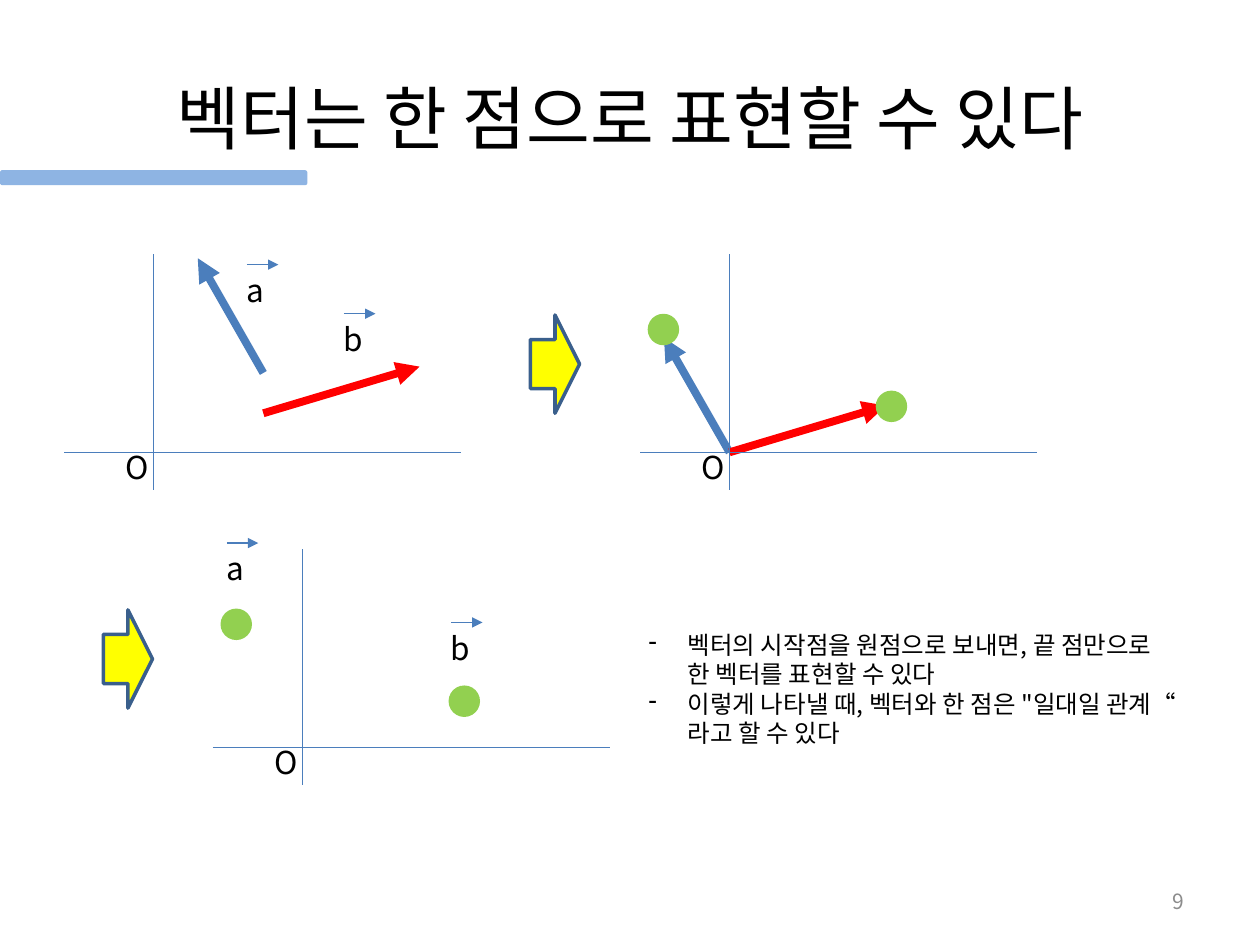
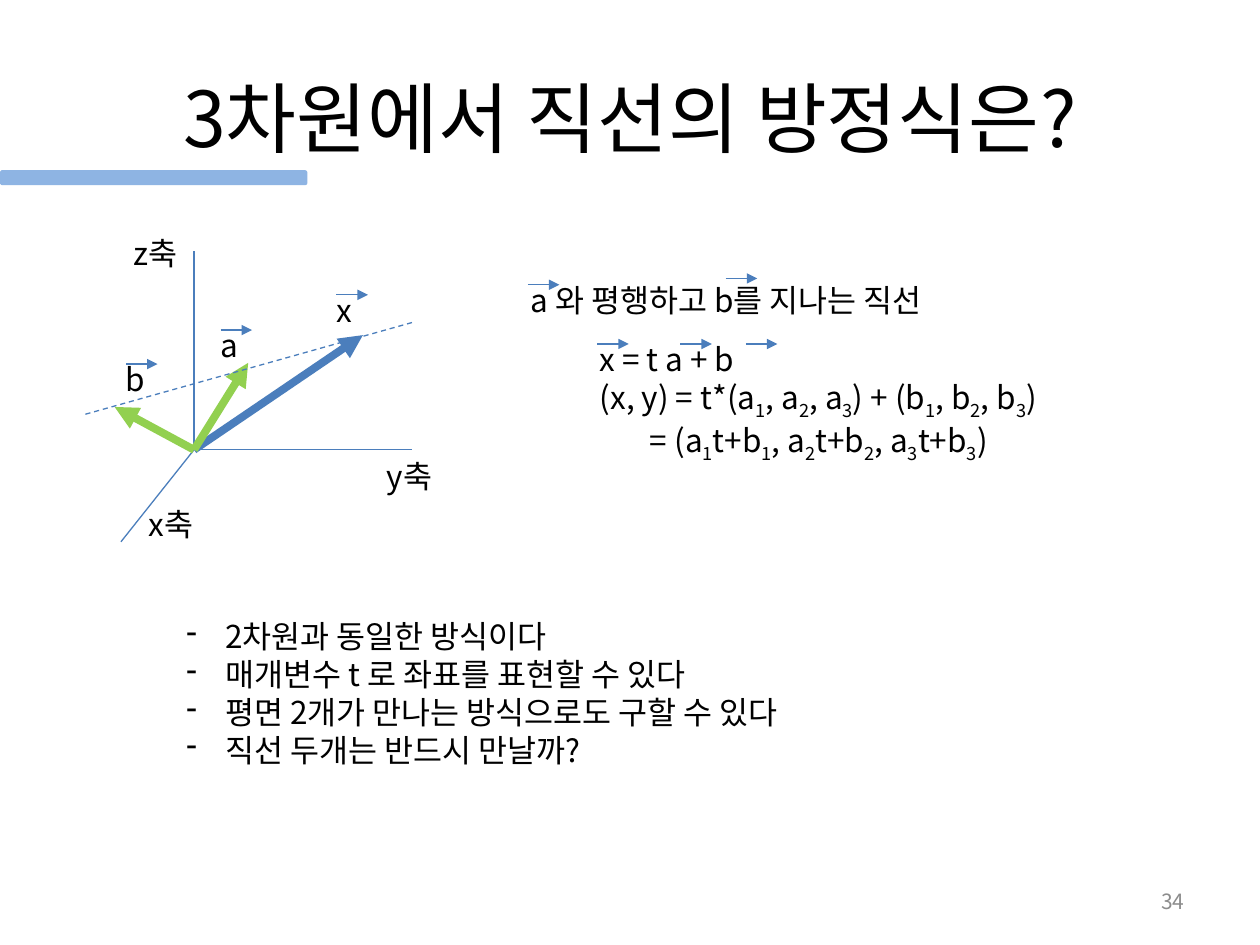
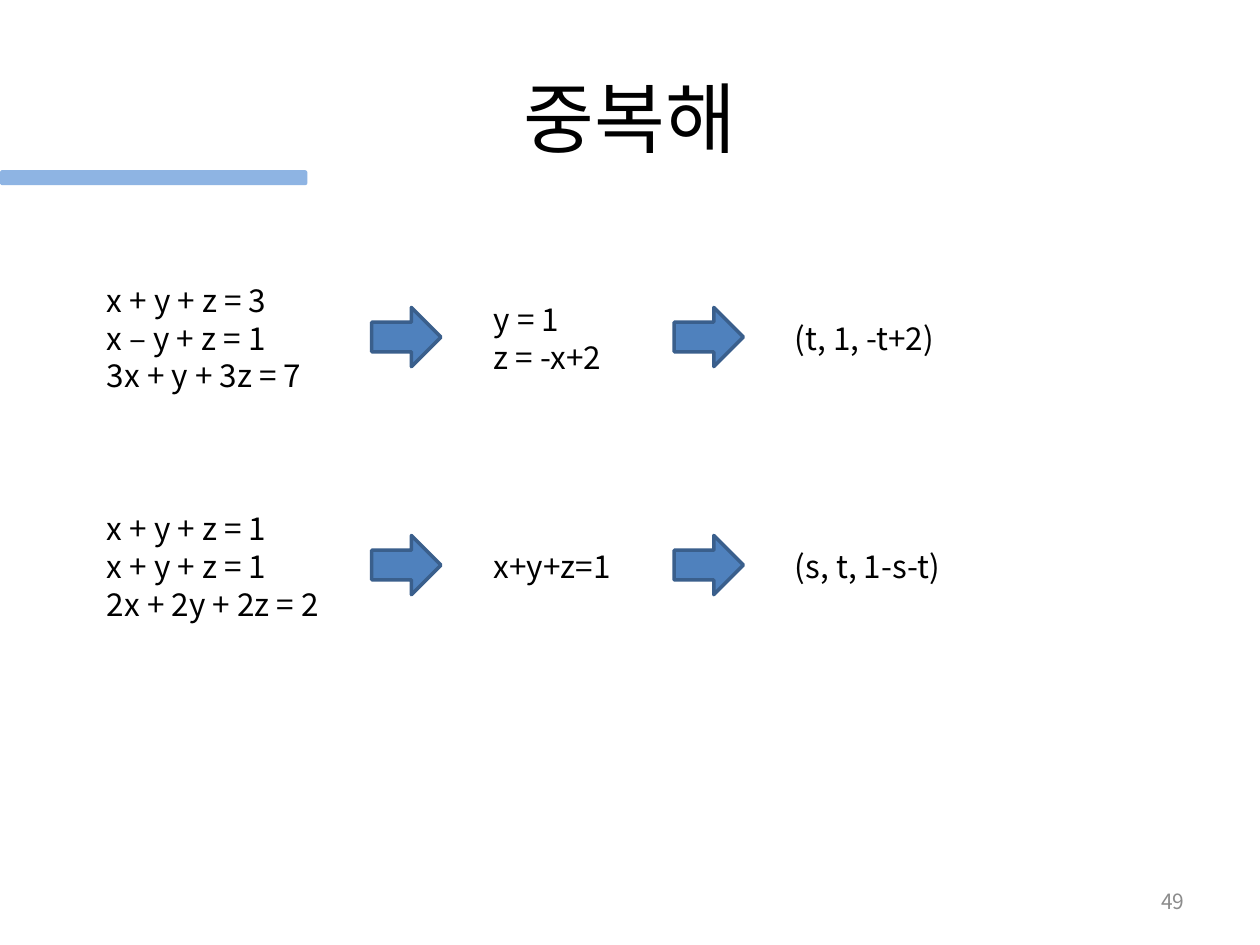
from lxml import etree
from pptx import Presentation
from pptx import util as u
from pptx.dml.color import RGBColor
from pptx.enum import dml, shapes, text
from pptx.oxml.ns import qn

FONT = "Noto Sans CJK KR"
BLACK, GREY, BAND = "000000", "8C8C8C", "8EB4E3"
BLUE, RED, GREEN, YELLOW = "4B7EBC", "FF0000", "92D050", "FFFF00"
ARROW_FILL, ARROW_EDGE = "4F81BD", "3A5F8C"
THIN, THICK = 0.75, 4.5

VECTOR_A, VECTOR_B = (-0.52, -0.91), (1.24, -0.37)
DOTS = [(-0.65, -1.1), (1.16, -0.49)]
PLANES = [
    {"origin": (1.22, 3.59), "starts": [(2.09, 2.96), (2.09, 3.28)],
     "labels": [("a", 1.96, 2.1), ("b", 2.73, 2.49)]},
    {"origin": (5.79, 3.59), "starts": [(5.79, 3.59), (5.79, 3.59)],
     "dots": DOTS, "arrow": True},
    {"origin": (2.4, 5.93), "dots": DOTS, "arrow": True,
     "labels": [("a", 1.8, 4.31), ("b", 3.58, 4.94)]},
]
POINT_NOTES = [
    "벡터의 시작점을 원점으로 보내면, 끝 점만으로\n한 벡터를 표현할 수 있다",
    "이렇게 나타낼 때, 벡터와 한 점은 \"일대일 관계“\n라고 할 수 있다",
]

SPACE_ORIGIN = (1.54, 3.57)
SPACE_AXES = [("z축", (1.54, 1.99), (0.96, 1.81)),
              ("y축", (3.27, 3.57), (2.97, 3.58)),
              ("x축", (0.96, 4.3), (1.08, 3.96))]
SPACE_VECTORS = [((2.88, 2.66), BLUE), ((1.97, 2.88), GREEN), ((0.91, 3.23), GREEN)]
SPACE_LABELS = [("a", 1.75, 2.62), ("x", 2.67, 2.34), ("b", 1, 2.89)]
EQUATION_MARKS = [(4.19, 2.26), (5.76, 2.21), (4.74, 2.73), (5.4, 2.73), (5.92, 2.73)]
EQUATIONS = ["x = t a + b",
             "(x, y) = t*(a_1, a_2, a_3) + (b_1, b_2, b_3)",
             "= (a_1t+b_1, a_2t+b_2, a_3t+b_3)"]
LINE_NOTES = ["2차원과 동일한 방식이다", "매개변수 t 로 좌표를 표현할 수 있다",
              "평면 2개가 만나는 방식으로도 구할 수 있다", "직선 두개는 반드시 만날까?"]

STEP_COLUMNS = [(0.75, 2.18), (3.82, 1.23), (6.21, 1.39)]
STEP_ARROWS = [2.95, 5.35]
SYSTEMS = [
    [["x + y + z = 3", "x – y + z = 1", "3x + y + 3z = 7"],
     ["y = 1", "z = -x+2"], ["(t, 1, -t+2)"]],
    [["x + y + z = 1", "x + y + z = 1", "2x + 2y + 2z = 2"],
     ["x+y+z=1"], ["(s, t, 1-s-t)"]],
]


def rgb(value):
    return RGBColor.from_string(value)


def inches(*values):
    return [u.Inches(v) for v in values]


def add_run(p, words, size, color, lowered=False):
    r = p.add_run()
    r.text = words
    for name, value in {"size": u.Pt(size), "name": FONT}.items():
        setattr(r.font, name, value)
    r.font.color.rgb = rgb(color)
    rPr = r.font._element
    etree.SubElement(rPr, qn("a:ea"), typeface=FONT)
    if lowered:
        rPr.set("baseline", "-25000")


def write_line(p, line, size, color):
    for i, part in enumerate(line.split("\n")):
        if i:
            p.add_line_break()
        first, *rest = part.split("_")
        add_run(p, first, size, color)
        for piece in rest:
            add_run(p, piece[0], size, color, True)
            if piece[1:]:
                add_run(p, piece[1:], size, color)


def add_text(s, lines, x, y, w, h=None, size=18, color=BLACK, align="LEFT",
             wrap=False, bullet=None):
    height = h or 0.1 + 0.303 * len(lines)
    tf = s.shapes.add_textbox(*inches(x, y, w, height)).text_frame
    fit = text.MSO_AUTO_SIZE
    frame = {"word_wrap": wrap,
             "auto_size": fit.NONE if h else fit.SHAPE_TO_FIT_TEXT,
             "vertical_anchor": text.MSO_ANCHOR.MIDDLE if h else text.MSO_ANCHOR.TOP}
    for name, value in frame.items():
        setattr(tf, name, value)
    for i, line in enumerate(lines):
        p = tf.add_paragraph() if i else tf.paragraphs[0]
        p.alignment = getattr(text.PP_ALIGN, align)
        if bullet:
            pPr = p._p.get_or_add_pPr()
            pPr.set("marL", str(u.Inches(0.31)))
            pPr.set("indent", str(-u.Inches(0.31)))
            etree.SubElement(pPr, qn("a:buChar"), char=bullet)
        write_line(p, line, size, color)
    return tf


def add_shape(s, kind, x, y, w, h, fill, edge=None):
    sp = s.shapes.add_shape(getattr(shapes.MSO_SHAPE, kind), *inches(x, y, w, h))
    sp.shadow.inherit = False
    sp.fill.solid()
    sp.fill.fore_color.rgb = rgb(fill)
    if edge:
        sp.line.color.rgb = rgb(edge)
        sp.line.width = u.Pt(2)
    else:
        sp.line.fill.background()


def add_line(s, start, end, color=BLUE, width=THIN, arrow=False, dashed=False):
    c = s.shapes.add_connector(shapes.MSO_CONNECTOR.STRAIGHT, *inches(*start, *end))
    c.line.color.rgb = rgb(color)
    c.line.width = u.Pt(width)
    if dashed:
        c.line.dash_style = dml.MSO_LINE.DASH
    if arrow:
        etree.SubElement(c.line._get_or_add_ln(), qn("a:tailEnd"), type="triangle")
    etree.SubElement(c._element.spPr, qn("a:effectLst"))


def add_vector_mark(s, x, y):
    add_line(s, (x, y), (x + 0.25, y), arrow=True)


def add_vector_label(s, name, x, y, rise=0):
    add_text(s, [name], x - 0.1, y - rise, 0.36)
    add_vector_mark(s, x, y)


def new_slide(prs, title, number, title_size=44):
    s = prs.slides.add_slide(prs.slide_layouts[6])
    add_text(s, [title], 0.5, 0.3, 9, 1.25, title_size, align="CENTER", wrap=True)
    add_text(s, [number], 7.17, 6.95, 2.33, 0.4, 12, GREY, "RIGHT", True)
    add_shape(s, "ROUNDED_RECTANGLE", 0, 1.35, 2.44, 0.12, BAND)
    return s


def add_plane(s, origin, starts=(), dots=(), labels=(), arrow=False):
    ox, oy = origin
    for (x, y), (dx, dy), color in zip(starts, (VECTOR_A, VECTOR_B), (BLUE, RED)):
        add_line(s, (x, y), (x + dx, y + dy), color, THICK, True)
    add_line(s, (ox, oy - 1.57), (ox, oy + 0.3))
    add_line(s, (ox - 0.71, oy), (ox + 2.44, oy))
    add_text(s, ["O"], ox - 0.32, oy - 0.08, 0.4)
    for dx, dy in dots:
        add_shape(s, "OVAL", ox + dx, oy + dy, 0.25, 0.25, GREEN)
    for label in labels:
        add_vector_label(s, *label)
    if arrow:
        add_shape(s, "RIGHT_ARROW", ox - 1.58, oy - 1.09, 0.39, 0.78, YELLOW, ARROW_EDGE)


def points_slide(prs):
    s = new_slide(prs, "벡터는 한 점으로 표현할 수 있다", "9", 39.6)
    for plane in PLANES:
        add_plane(s, **plane)
    add_text(s, POINT_NOTES, 5.05, 4.95, 4.73, size=14, bullet="-")


def line_slide(prs):
    s = new_slide(prs, "3차원에서 직선의 방정식은?", "34")
    add_text(s, ["a 와 평행하고 b를 지나는 직선"], 4.11, 2.18, 3.71)
    tf = add_text(s, EQUATIONS, 4.66, 2.65, 4.04)
    tf.paragraphs[-1]._p.get_or_add_pPr().set("marL", str(u.Inches(0.4)))
    for mark in EQUATION_MARKS:
        add_vector_mark(s, *mark)
    add_text(s, LINE_NOTES, 1.38, 4.85, 5.48, bullet="-")
    for name, end, (x, y) in SPACE_AXES:
        add_line(s, SPACE_ORIGIN, end)
        add_text(s, [name], x, y, 0.57, wrap=True)
    for tip, color in SPACE_VECTORS:
        add_line(s, SPACE_ORIGIN, tip, color, THICK, True)
    for label in SPACE_LABELS:
        add_vector_label(s, *label, rise=0.08)
    add_line(s, (3.27, 2.56), (0.67, 3.29), dashed=True)


def systems_slide(prs):
    s = new_slide(prs, "중복해", "49")
    for row, steps in enumerate(SYSTEMS):
        middle = 2.68 + 1.81 * row
        for (x, w), lines in zip(STEP_COLUMNS, steps):
            add_text(s, lines, x, middle - 0.05 - 0.15 * len(lines), w)
        for x in STEP_ARROWS:
            add_shape(s, "RIGHT_ARROW", x, middle - 0.24, 0.55, 0.47, ARROW_FILL, ARROW_EDGE)


def main():
    prs = Presentation()
    prs.slide_width, prs.slide_height = inches(10, 7.5)
    for build in (points_slide, line_slide, systems_slide):
        build(prs)
    prs.save("out.pptx")


if __name__ == "__main__":
    main()
